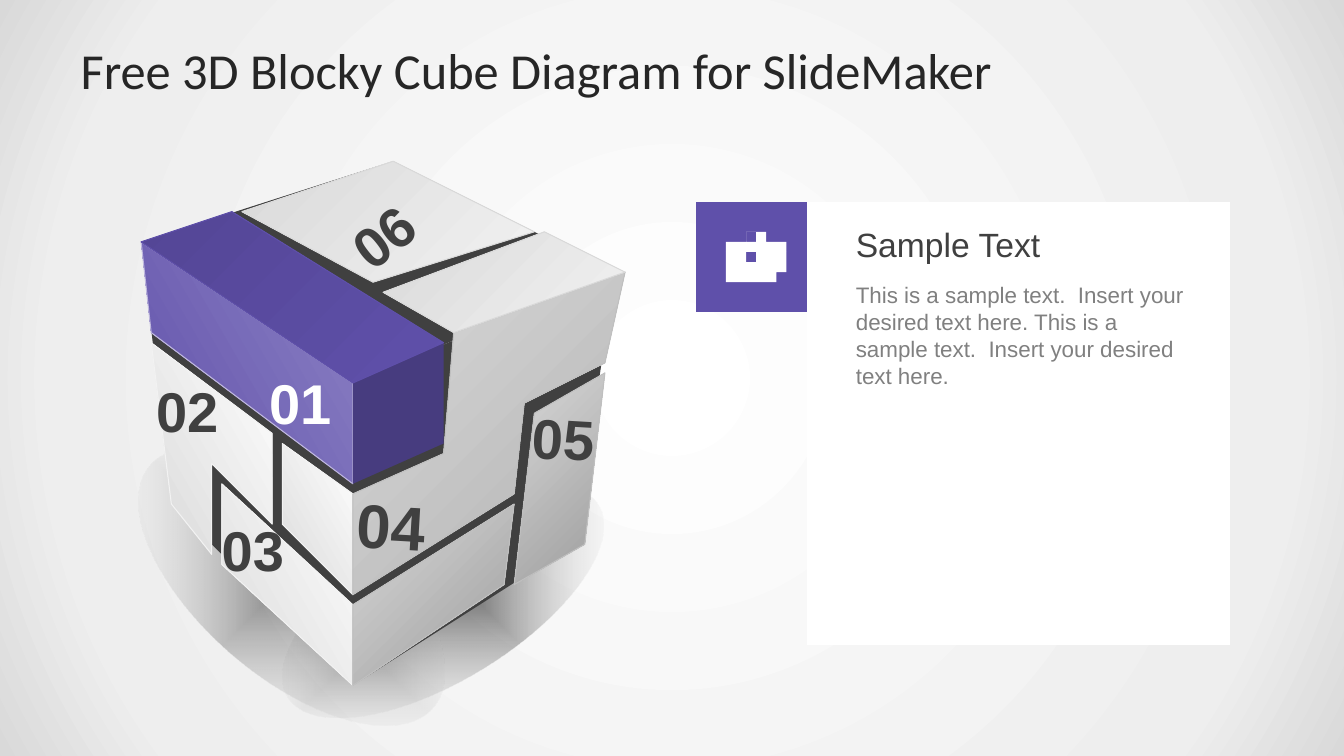
"""Build a slide with a six-block cube diagram and one text panel."""
from dataclasses import dataclass
from typing import Optional

from lxml.etree import SubElement
from pptx import Presentation
from pptx.dml.color import RGBColor
from pptx.enum.shapes import MSO_SHAPE
from pptx.enum.text import MSO_ANCHOR, MSO_AUTO_SIZE, PP_ALIGN
from pptx.oxml.ns import qn
from pptx.util import Inches, Pt

SLIDE_WIDTH, SLIDE_HEIGHT = Inches(13.33), Inches(7.5)
GRID_ROWS = 75
CELL = SLIDE_HEIGHT // GRID_ROWS

COLORS = {
    "white": "FFFFFF", "black": "000000", "ink": "262626", "groove": "404040",
    "body": "808080", "mist": "F2F2F2", "haze": "EEEEEE", "silver": "D9D9D9",
    "edge": "BFBFBF", "steel": "B2B2B2", "shade": "9C9C9C",
    "violet": "5F50AA", "lilac": "8E83C5", "pale": "BFB8DE",
    "plum": "544696", "indigo": "473C7F",
}

Points = list[tuple[float, float]]


@dataclass
class Gradient:
    stops: list[tuple]
    angle: Optional[int] = None
    path_kind: str = "shape"


@dataclass
class Face:
    outline: Points
    paint: str | Gradient
    edge: Optional[str] = None
    hole: Optional[Points] = None


@dataclass
class Caption:
    words: str
    left: float
    top: float
    width: float
    height: float
    color: str
    size: int = 40
    bold: bool = True
    wrap: bool = False
    rotation: float = 0


@dataclass
class FloorShadow:
    left: float
    top: float
    width: float
    height: float
    rotation: float
    opacity: int


LEFT_GRAY = Gradient([(0, "white"), (100, "silver")], 150)
RIGHT_DARK = Gradient([(0, "silver"), (100, "shade")], 45)
RIGHT_SOFT = Gradient([(0, "silver"), (100, "steel")], 45)
TOP_GRAY = Gradient([(0, "mist"), (100, "silver")], 225)
VIOLET_FRONT = Gradient([(0, "lilac"), (100, "violet")], 150)
VIOLET_TOP = Gradient([(0, "violet"), (100, "plum")], 225)
BACKDROP = Gradient([(0, "white"), (81, "haze"), (100, "silver")], path_kind="circle")

FLOOR_SHADOWS = [
    FloorShadow(25.9, 51.9, 36.1, 15.5, 328.4, 49),
    FloorShadow(10.5, 49.2, 36.8, 17.9, 40.6, 44),
]

CUBE_FACES = [
    Face([(14.5, 23.7), (34.8, 37.6), (34.6, 67.8), (16.7, 50)], "groove"),
    Face([(61.4, 26.8), (57.4, 53.7), (34.6, 67.8), (34.8, 37.6)], "groove"),
    Face([(39.1, 16.1), (61.4, 26.8), (34.8, 37.6), (14.5, 23.7)], "groove"),
    Face([(15.3, 33.8), (26.8, 43), (26.9, 51.7), (20.8, 46.2), (21.4, 54.7), (16.7, 50)],
         LEFT_GRAY, "mist"),
    Face([(21.7, 47.9), (34.7, 59.5), (34.6, 67.8), (22.1, 55.5)], LEFT_GRAY, "mist"),
    Face([(27.5, 43.6), (34.7, 49.4), (34.7, 58.6), (27.7, 52.3)], LEFT_GRAY, "mist"),
    Face([(59.9, 37.2), (57.5, 53.7), (51.3, 57.5), (53, 40.6)], RIGHT_DARK, "edge"),
    Face([(61.5, 26.8), (60.1, 36.4), (52.3, 40.1), (51.4, 49.4), (34.7, 58.6),
          (34.7, 49.4), (44.5, 44.6), (45.2, 33.4)], RIGHT_SOFT, "edge"),
    Face([(51.3, 50.3), (50.5, 58), (34.6, 67.8), (34.7, 59.5)], RIGHT_DARK, "edge"),
    Face([(53.7, 23.1), (61.5, 26.8), (45.2, 33.4), (37.6, 28.7)], TOP_GRAY, "silver"),
    Face([(39.1, 16), (52.8, 22.6), (36.8, 28.3), (24.2, 20.6)], TOP_GRAY, "silver"),
    Face([(14.5, 23.7), (34.7, 37.6), (34.7, 48.5), (15.2, 32.7)], VIOLET_FRONT, "pale"),
    Face([(44.4, 33.7), (43.8, 44.1), (34.7, 48.5), (34.7, 37.6)], "indigo"),
    Face([(23.3, 20.9), (44.4, 33.7), (34.7, 37.6), (14.5, 23.7)], VIOLET_TOP, "violet"),
]

PANEL = [
    Face([(80.3, 19.5), (121.8, 19.5), (121.8, 64.5), (80.3, 64.5)], "white"),
    Face([(69, 19.5), (80.4, 19.5), (80.4, 30.9), (69, 30.9)], "violet"),
]

BRIEFCASE = [
    Face([(74, 22.8), (75.4, 22.8), (75.7, 23), (75.9, 23.3), (75.9, 23.5), (77, 23.5),
          (77.3, 23.7), (77.5, 24), (77.5, 24.7), (77.3, 25.1), (77, 25.2), (75.1, 25.2),
          (75.1, 25), (75, 24.9), (74.3, 24.9), (74.2, 25), (74.2, 25.2), (72.3, 25.2),
          (72.1, 25.1), (71.9, 24.7), (71.9, 24), (72.1, 23.7), (72.3, 23.5),
          (73.5, 23.5), (73.5, 23.3), (73.7, 23)], "white",
         hole=[(74, 23.3), (74, 23.5), (75.4, 23.5), (75.4, 23.3)]),
    Face([(72, 25.3), (72.3, 25.4), (74.2, 25.4), (74.2, 25.8), (74.3, 25.9), (75, 25.9),
          (75.1, 25.8), (75.1, 25.4), (77, 25.4), (77.4, 25.3), (77.5, 25.4), (77.5, 27),
          (77.4, 27.4), (77, 27.5), (72.3, 27.5), (72, 27.4), (71.9, 27), (71.9, 25.4)],
         "white"),
]

CAPTIONS = [
    Caption("This is a sample text.  Insert your desired text here. "
            "This is a sample text.  Insert your desired text here.",
            83.9, 27.4, 34.7, 11.8, "body", 16, False, True),
    Caption("Sample Text", 83.9, 21.7, 34.7, 5, "groove", 24, False, True),
    Caption("02", 14.5, 36.9, 8.3, 7.7, "groove"),
    Caption("03", 21, 50.7, 8.3, 7.7, "groove"),
    Caption("05", 51.8, 39.6, 8.3, 7.7, "groove", rotation=3.3),
    Caption("04", 34.4, 47.9, 8.9, 8.4, "groove", 44, rotation=3.3),
    Caption("06", 33.9, 19.5, 8.3, 7.7, "groove", rotation=-38),
    Caption("01", 25.7, 36.1, 9, 8.5, "white"),
]


def cells(*lengths: float) -> list[int]:
    return [round(length * CELL) for length in lengths]


def rgb(color: str) -> RGBColor:
    return RGBColor.from_string(COLORS[color])


def apply_format(target, values: dict) -> None:
    for attribute, value in values.items():
        setattr(target, attribute, value)


def paint_gradient(fill, owner, gradient: Gradient) -> None:
    fill.gradient()
    node = owner.xpath(".//a:gradFill")[0]
    for child in list(node):
        node.remove(child)
    stops = SubElement(node, qn("a:gsLst"))
    for position, color, *opacity in gradient.stops:
        stop = SubElement(stops, qn("a:gs"), pos=str(position * 1000))
        tint = SubElement(stop, qn("a:srgbClr"), val=COLORS[color])
        for share in opacity:
            SubElement(tint, qn("a:alpha"), val=str(share * 1000))
    if gradient.angle is None:
        spread = SubElement(node, qn("a:path"), path=gradient.path_kind)
        SubElement(spread, qn("a:fillToRect"), dict.fromkeys("ltrb", "50000"))
    else:
        SubElement(node, qn("a:lin"), ang=str(gradient.angle * 60000), scaled="0")


def paint(shape, coat: str | Gradient, edge: Optional[str] = None) -> None:
    shape.shadow.inherit = False
    if isinstance(coat, Gradient):
        paint_gradient(shape.fill, shape.element, coat)
    else:
        shape.fill.solid()
        shape.fill.fore_color.rgb = rgb(coat)
    if edge:
        shape.line.color.rgb = rgb(edge)
        shape.line.width = Pt(0)
    else:
        shape.line.fill.background()


def draw_face(slide, face: Face) -> None:
    builder = slide.shapes.build_freeform(*face.outline[0], scale=CELL)
    builder.add_line_segments(face.outline[1:], close=True)
    if face.hole:
        builder.move_to(*face.hole[0])
        builder.add_line_segments(face.hole[1:], close=True)
    paint(builder.convert_to_shape(), face.paint, face.edge)


def draw_floor_shadow(slide, spot: FloorShadow) -> None:
    ellipse = slide.shapes.add_shape(
        MSO_SHAPE.OVAL, *cells(spot.left, spot.top, spot.width, spot.height))
    ellipse.rotation = spot.rotation
    paint(ellipse, Gradient([(0, "black", spot.opacity), (100, "white", 0)]))


def draw_caption(slide, caption: Caption) -> None:
    box = slide.shapes.add_textbox(
        *cells(caption.left, caption.top, caption.width, caption.height))
    box.rotation = caption.rotation
    apply_format(box.text_frame, {"word_wrap": caption.wrap, "text": caption.words,
                                  "auto_size": MSO_AUTO_SIZE.SHAPE_TO_FIT_TEXT})
    font = box.text_frame.paragraphs[0].runs[0].font
    apply_format(font, {"name": "Arial", "size": Pt(caption.size), "bold": caption.bold})
    font.color.rgb = rgb(caption.color)


def write_title(slide, words: str) -> None:
    title = slide.shapes.title
    left, top, width, height = cells(6.7, 3, 120, 7.8)
    apply_format(title, {"left": left, "top": top, "width": width, "height": height})
    side, rim = cells(1.3, 0.7)
    apply_format(title.text_frame, {
        "text": words, "vertical_anchor": MSO_ANCHOR.MIDDLE, "margin_left": side,
        "margin_right": side, "margin_top": rim, "margin_bottom": rim})
    heading = title.text_frame.paragraphs[0]
    heading.alignment = PP_ALIGN.LEFT
    apply_format(heading.runs[0].font, {"name": "Calibri", "size": Pt(36)})
    heading.runs[0].font.color.rgb = rgb("ink")


def main() -> None:
    deck = Presentation()
    apply_format(deck, {"slide_width": SLIDE_WIDTH, "slide_height": SLIDE_HEIGHT})
    slide = deck.slides.add_slide(deck.slide_layouts[5])
    paint_gradient(slide.background.fill, slide.element, BACKDROP)
    write_title(slide, "Free 3D Blocky Cube Diagram for SlideMaker")
    for spot in FLOOR_SHADOWS:
        draw_floor_shadow(slide, spot)
    for face in PANEL + CUBE_FACES + BRIEFCASE:
        draw_face(slide, face)
    for caption in CAPTIONS:
        draw_caption(slide, caption)
    deck.save("out.pptx")


if __name__ == "__main__":
    main()
